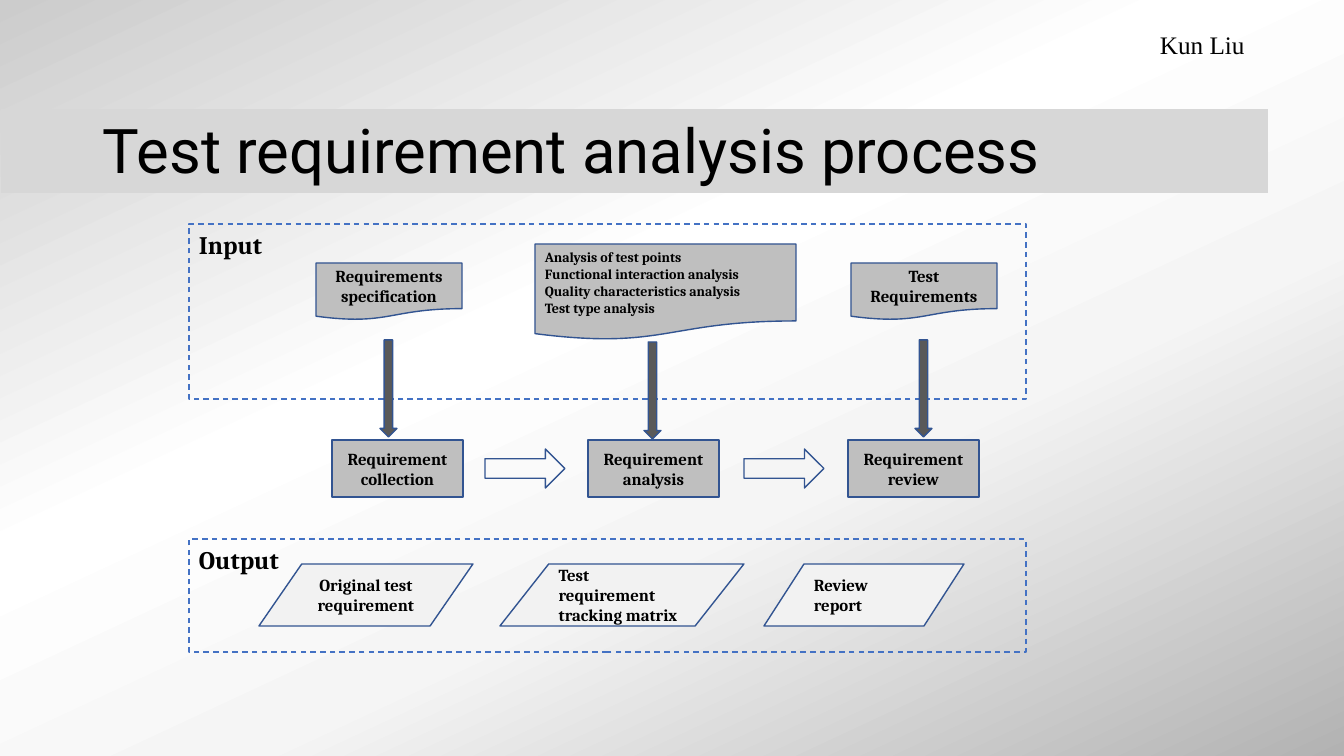
"""Build the slide on the test requirement analysis process."""
import pptx
import pptx.util
import pptx.dml.color
import pptx.enum.dml
import pptx.enum.shapes
import pptx.enum.text
import pptx.oxml.ns
import lxml.etree

SCALE = 914400 / 100.8
KIND = pptx.enum.shapes.MSO_SHAPE
ALIGN = pptx.enum.text.PP_ALIGN
MIDDLE = pptx.enum.text.MSO_ANCHOR.MIDDLE
BLACK, GREY, PALE, DARK = "000000", "BFBFBF", "F2F2F2", "595959"
BAND, EDGE, BLUE = "D7D7D7", "325491", "4472C4"


def px(num):
    return pptx.util.Emu(round(num * SCALE))


def color(code):
    return pptx.dml.color.RGBColor.from_string(code)


class Deck:
    def __init__(self):
        self.file = pptx.Presentation()
        self.file.slide_width = px(1344)
        self.file.slide_height = px(756)
        self.slide = self.file.slides.add_slide(self.file.slide_layouts[6])
        self.font = "Cambria"

    def back(self, stops, angle):
        fill = self.slide.background.fill
        fill.gradient()
        fill.gradient_angle = angle
        tag = pptx.oxml.ns.qn
        items = next(self.slide.element.iter(tag("a:gsLst")))
        for old in list(items):
            items.remove(old)
        for place, code in stops:
            stop = lxml.etree.SubElement(items, tag("a:gs"), pos=str(place * 1000))
            lxml.etree.SubElement(stop, tag("a:srgbClr"), val=code)

    def words(self, frame, lines, size, align=ALIGN.LEFT, font=None, bold=True):
        frame.word_wrap = True
        for num, line in enumerate(lines):
            para = frame.add_paragraph() if num else frame.paragraphs[0]
            para.text = line
            para.alignment = align
            para.font.name = font or self.font
            para.font.size = pptx.util.Pt(size)
            para.font.bold = bold
            para.font.color.rgb = color(BLACK)

    def shape(self, kind, box, fill=None, edge=EDGE, dash=False):
        shape = self.slide.shapes.add_shape(kind, *map(px, box))
        shape.shadow.inherit = False
        if fill:
            shape.fill.solid()
            shape.fill.fore_color.rgb = color(fill)
        else:
            shape.fill.background()
        if edge:
            shape.line.color.rgb = color(edge)
            shape.line.width = pptx.util.Pt(1)
        else:
            shape.line.fill.background()
        if dash:
            shape.line.dash_style = pptx.enum.dml.MSO_LINE.DASH
        return shape

    def node(self, kind, box, fill, lines, size=12, align=ALIGN.CENTER):
        frame = self.shape(kind, box, fill).text_frame
        frame.vertical_anchor = MIDDLE
        self.words(frame, lines, size, align)

    def label(self, box, text, size=18, **style):
        frame = self.slide.shapes.add_textbox(*map(px, box)).text_frame
        self.words(frame, [text], size, **style)
        return frame

    def group(self, name, top, height):
        self.shape(KIND.RECTANGLE, (189, top, 837, height), edge=BLUE, dash=True)
        self.label((189, top, 108, 40), name)


deck = Deck()
deck.back([(0, "B2B2B2"), (37, "F5F5F5"), (60, "FFFFFF"), (100, "CCCCCC")], 115)
deck.shape(KIND.RECTANGLE, (1, 109, 1267, 84), BAND, edge=None)
title = deck.label((93, 93, 1159, 122), "Test requirement analysis process", 44,
                   font="Roboto", bold=False)
title.vertical_anchor = MIDDLE
title.paragraphs[0].line_spacing = 0.9
deck.label((1150, 24, 119, 40), "Kun Liu", font="Times New Roman", bold=False)

deck.group("Input", 224, 175)
for left, text in ((316, "Requirements specification"), (851, "Test Requirements")):
    deck.node(KIND.FLOWCHART_DOCUMENT, (left, 263, 146, 57), GREY, [text])
points = ["Analysis of test points", "Functional interaction analysis",
          "Quality characteristics analysis", "Test type analysis"]
deck.node(KIND.FLOWCHART_DOCUMENT, (535, 244, 261, 96), GREY, points, 10, ALIGN.LEFT)

for left, step in ((332, "collection"), (588, "analysis"), (848, "review")):
    deck.node(KIND.RECTANGLE, (left, 440, 131, 57), GREY, ["Requirement " + step])
for left, top in ((380, 340), (644, 342), (915, 340)):
    deck.shape(KIND.DOWN_ARROW, (left, top, 17, 97), DARK)
for left in (485, 744):
    deck.shape(KIND.RIGHT_ARROW, (left, 449, 80, 39))

deck.group("Output", 539, 113)
for left, width, text, align in (
        (259, 214, "Original test requirement", ALIGN.CENTER),
        (500, 244, "Test requirement tracking matrix", ALIGN.LEFT),
        (764, 200, "Review report", ALIGN.LEFT)):
    deck.node(KIND.FLOWCHART_DATA, (left, 564, width, 62), PALE, [text], align=align)

deck.file.save("out.pptx")
